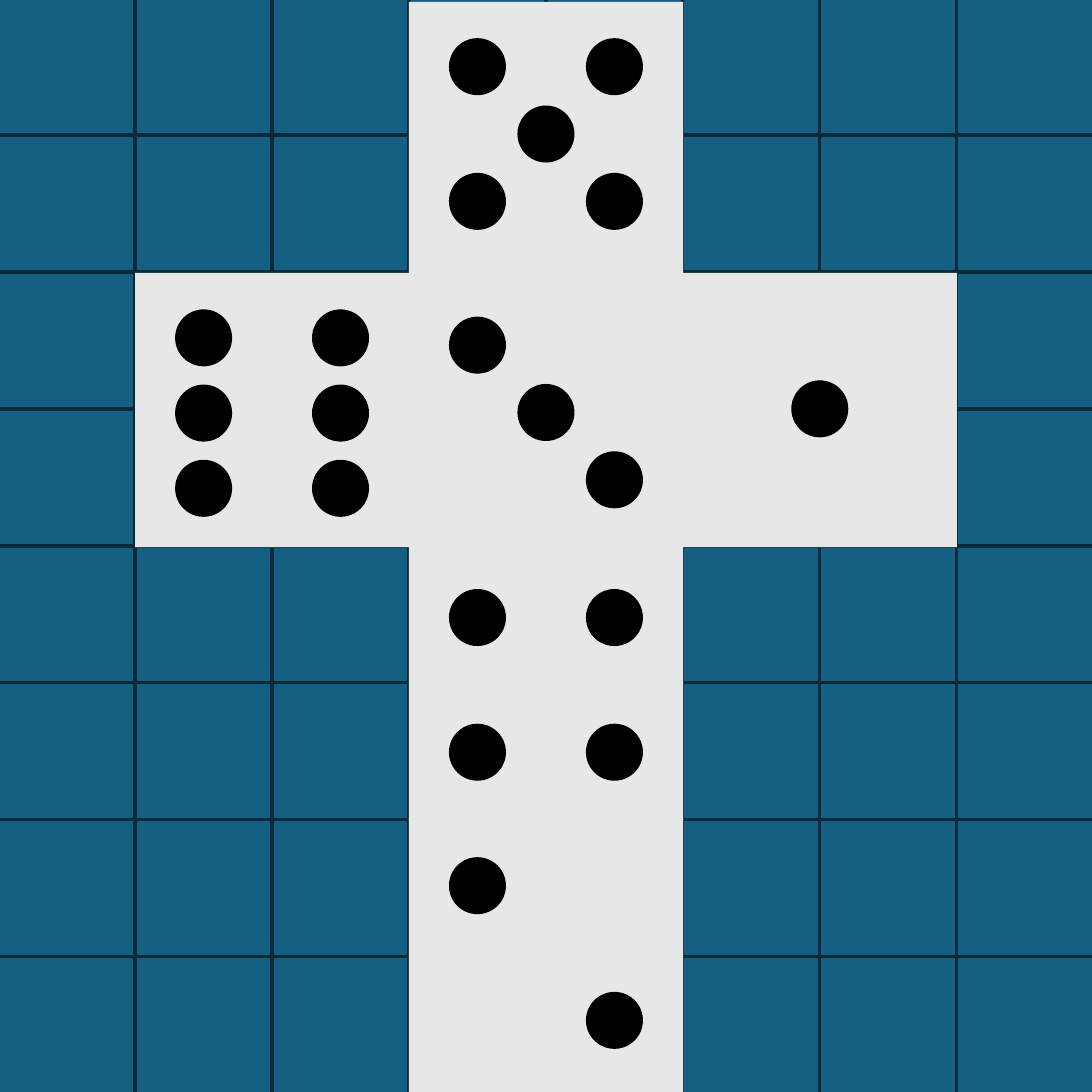
import pptx
import pptx.util
import pptx.dml.color
import pptx.enum.shapes

Cm = pptx.util.Cm
kinds = pptx.enum.shapes.MSO_SHAPE
colors = {"tile": "156082", "edge": "092A39", "face": "E7E7E7", "pip": "000000"}

deck = pptx.Presentation()
for name, size in {"slide_width": Cm(18), "slide_height": Cm(18)}.items():
    setattr(deck, name, size)
slide = deck.slides.add_slide(deck.slide_layouts[6])


def add(kind, left, top, size, color, edge=None):
    shape = slide.shapes.add_shape(kind, Cm(left), Cm(top), Cm(size), Cm(size))
    shape.shadow.inherit = False
    shape.fill.solid()
    paints = {shape.fill.fore_color: color}
    if edge:
        shape.line.width = pptx.util.Pt(1.5)
        paints[shape.line.color] = edge
    else:
        shape.line.fill.background()
    for paint, key in paints.items():
        setattr(paint, "rgb", pptx.dml.color.RGBColor.from_string(colors[key]))


# Board of 8 by 8 tiles
start = -0.03
tile = 15.8 / 7
for row in range(8):
    for col in range(8):
        add(kinds.RECTANGLE, start + col * tile, start + row * tile, tile, "tile", "edge")

# Dice net: tile column, top, top of first pip row, pip row step, pips (column, row)
faces = [
    (5, 4.5, 5.16, 1.11, [(1, 1)]),
    (1, 4.5, 5.1, 1.24, [(0, 0), (2, 0), (0, 1), (2, 1), (0, 2), (2, 2)]),
    (3, 13.49, 14.13, 1.11, [(0, 0), (2, 2)]),
    (3, 4.5, 5.22, 1.11, [(0, 0), (1, 1), (2, 2)]),
    (3, 0.03, 0.63, 1.11, [(0, 0), (2, 0), (1, 1), (0, 2), (2, 2)]),
    (3, 9, 9.71, 1.11, [(0, 0), (2, 0), (0, 2), (2, 2)]),
]
for col, top, first, step, pips in faces:
    add(kinds.RECTANGLE, start + col * tile, top, 4.52, "face")

# Pips, one half tile apart across
for col, top, first, step, pips in faces:
    for x, y in pips:
        left = start + col * tile + 0.66 + x * tile / 2
        add(kinds.OVAL, left, first + y * step, 0.94, "pip")

deck.save("out.pptx")
